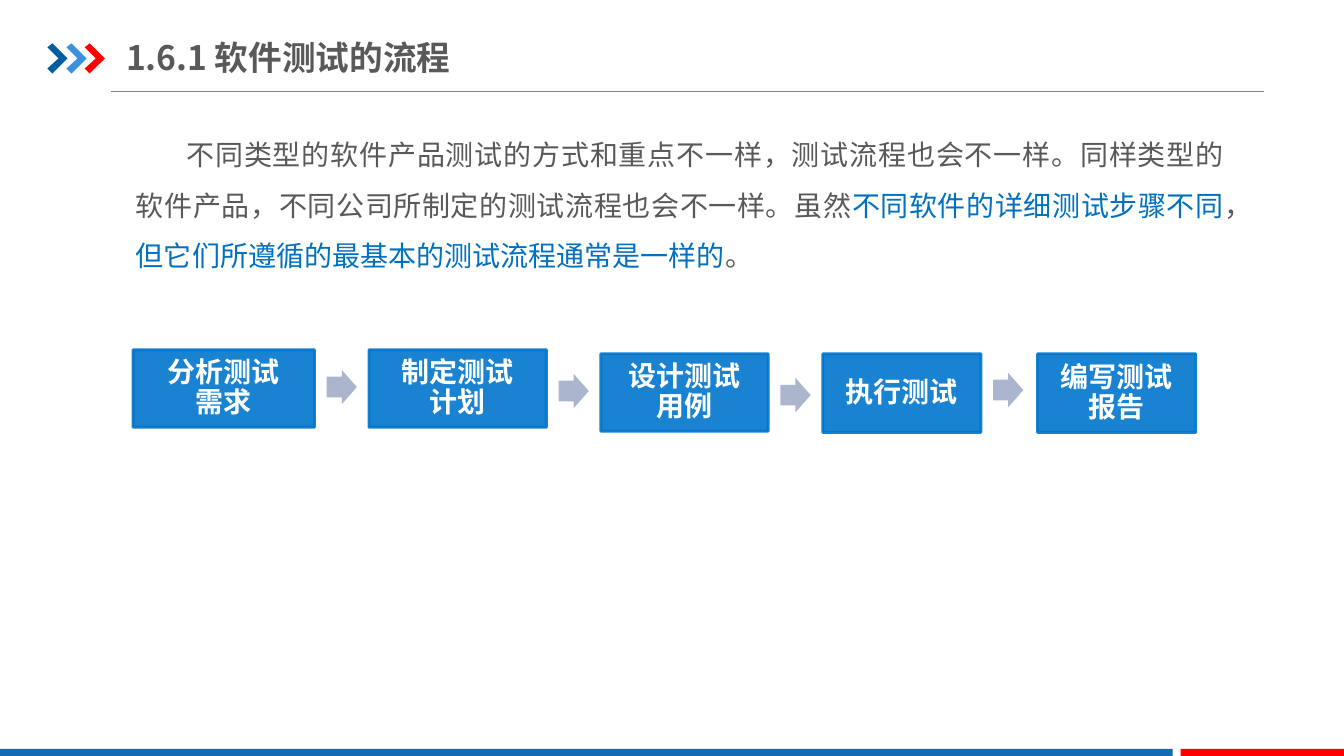
"""Build the slide on the software testing process."""
from dataclasses import dataclass

import pptx
import pptx.dml.color
import pptx.enum.shapes
import pptx.enum.text
import pptx.oxml.ns
import pptx.util
from lxml import etree

Inches = pptx.util.Inches
Pt = pptx.util.Pt
ALIGN = pptx.enum.text.PP_ALIGN
ANCHOR = pptx.enum.text.MSO_ANCHOR
SHAPE = pptx.enum.shapes.MSO_SHAPE
qn = pptx.oxml.ns.qn

FONT = "Noto Sans CJK SC"
GREY, BLUE, STEP_BLUE, RED = "595959", "0070C0", "0075CC", "FF0000"
ARROW_GAP, ARROW_W, ARROW_H = 0.12, 0.3, 0.34


@dataclass
class Step:
    text: str
    x: float
    y: float
    w: float
    h: float


@dataclass
class Block:
    x: float
    w: float
    color: str


STEPS = [
    Step("分析测试需求", 1.32, 3.47, 1.8, 0.77),
    Step("制定测试计划", 3.66, 3.47, 1.76, 0.77),
    Step("设计测试用例", 5.96, 3.51, 1.66, 0.77),
    Step("执行测试", 8.16, 3.51, 1.57, 0.78),
    Step("编写测试报告", 10.29, 3.51, 1.57, 0.78),
]
ARROW_TOPS = [3.67, 3.71, 3.75, 3.7]
CHEVRONS = [Block(0.47, 0.2, "005DA2"), Block(0.66, 0.2, "3992DB"), Block(0.84, 0.2, RED)]
FOOTER = [Block(0, 11.63, "1369B2"), Block(11.71, 1.63, RED)]
BODY = [
    ("不同类型的软件产品测试的方式和重点不一样，测试流程也会不一样。同样类型的软件产品，"
     "不同公司所制定的测试流程也会不一样。虽然", GREY),
    ("不同软件的详细测试步骤不同", BLUE),
    ("，", GREY),
    ("但它们所遵循的最基本的测试流程通常是一样的", BLUE),
    ("。", GREY),
]


def rgb(color: str) -> pptx.dml.color.RGBColor:
    return pptx.dml.color.RGBColor.from_string(color)


def paint(sp, color: str) -> None:
    sp.shadow.inherit = False
    sp.fill.solid()
    sp.fill.fore_color.rgb = rgb(color)
    sp.line.fill.background()


def set_alpha(sp, percent: int) -> None:
    for clr in sp._element.spPr.iter(qn("a:srgbClr")):
        etree.SubElement(clr, qn("a:alpha")).set("val", str(percent * 1000))


def add_run(p, text: str, *, size: float = 20, color: str = GREY, bold: bool = False) -> None:
    r = p.add_run()
    r.text = text
    r.font.size = Pt(size)
    r.font.bold = bold
    r.font.color.rgb = rgb(color)
    r.font.name = FONT
    etree.SubElement(r.font._element, qn("a:ea")).set("typeface", FONT)


def set_frame(tf, *, anchor=ANCHOR.TOP, side: float = 0.1, edge: float = 0.05) -> None:
    tf.word_wrap = True
    tf.vertical_anchor = anchor
    tf.margin_left = tf.margin_right = Inches(side)
    tf.margin_top = tf.margin_bottom = Inches(edge)


def add_block(s, kind, x: float, y: float, w: float, h: float, color: str):
    sp = s.shapes.add_shape(kind, Inches(x), Inches(y), Inches(w), Inches(h))
    paint(sp, color)
    return sp


def add_chevron(s, chevron: Block) -> None:
    x, y, w = chevron.x, 0.43, chevron.w
    outline = [(0.05, 0), (w, 0.15), (0.05, 0.3), (0, 0.25), (0.11, 0.15)]
    fb = s.shapes.build_freeform(Inches(x), Inches(y + 0.04), scale=1.0)
    fb.add_line_segments([(Inches(x + dx), Inches(y + dy)) for dx, dy in outline])
    paint(fb.convert_to_shape(), chevron.color)


def add_step(s, step: Step) -> None:
    sp = add_block(s, SHAPE.RECTANGLE, step.x, step.y, step.w, step.h, STEP_BLUE)
    sp.line.color.rgb = rgb(STEP_BLUE)
    sp.line.width = Pt(2)
    set_alpha(sp, 90)
    set_frame(sp.text_frame, anchor=ANCHOR.MIDDLE, side=0.21, edge=0.04)
    p = sp.text_frame.paragraphs[0]
    p.alignment = ALIGN.CENTER
    p.line_spacing = 0.9
    add_run(p, step.text, color="FFFFFF", bold=True)


def add_header(s) -> None:
    rule = s.shapes.add_connector(pptx.enum.shapes.MSO_CONNECTOR.STRAIGHT,
                                  Inches(1.1), Inches(0.91), Inches(12.54), Inches(0.91))
    rule.line.color.rgb = rgb("808080")
    rule.line.width = Pt(0.75)
    etree.SubElement(rule._element.spPr, qn("a:effectLst"))
    for chevron in CHEVRONS:
        add_chevron(s, chevron)
    tf = s.shapes.add_textbox(Inches(1.25), Inches(0.29), Inches(5.28), Inches(0.55)).text_frame
    set_frame(tf, anchor=ANCHOR.MIDDLE, side=0, edge=0.07)
    add_run(tf.paragraphs[0], "1.6.1 软件测试的流程", size=24, bold=True)


def add_body(s) -> None:
    tf = s.shapes.add_textbox(Inches(1.25), Inches(1.15), Inches(10.99), Inches(1.62)).text_frame
    set_frame(tf)
    p = tf.paragraphs[0]
    p.alignment = ALIGN.JUSTIFY
    p.line_spacing = 1.5
    p._p.get_or_add_pPr().set("indent", str(Inches(0.5)))
    for text, color in BODY:
        add_run(p, text, color=color)


def main() -> None:
    prs = pptx.Presentation()
    prs.slide_width, prs.slide_height = Inches(13.33), Inches(7.5)
    s = prs.slides.add_slide(prs.slide_layouts[6])
    add_header(s)
    for bar in FOOTER:
        add_block(s, SHAPE.RECTANGLE, bar.x, 7.43, bar.w, 0.09, bar.color)
    add_body(s)
    for step in STEPS:
        add_step(s, step)
    for step, top in zip(STEPS, ARROW_TOPS):
        sp = add_block(s, SHAPE.RIGHT_ARROW, step.x + step.w + ARROW_GAP, top,
                       ARROW_W, ARROW_H, "ABB6CE")
        sp.adjustments[0] = 0.6
        sp.adjustments[1] = 0.5
    prs.save("out.pptx")


if __name__ == "__main__":
    main()
